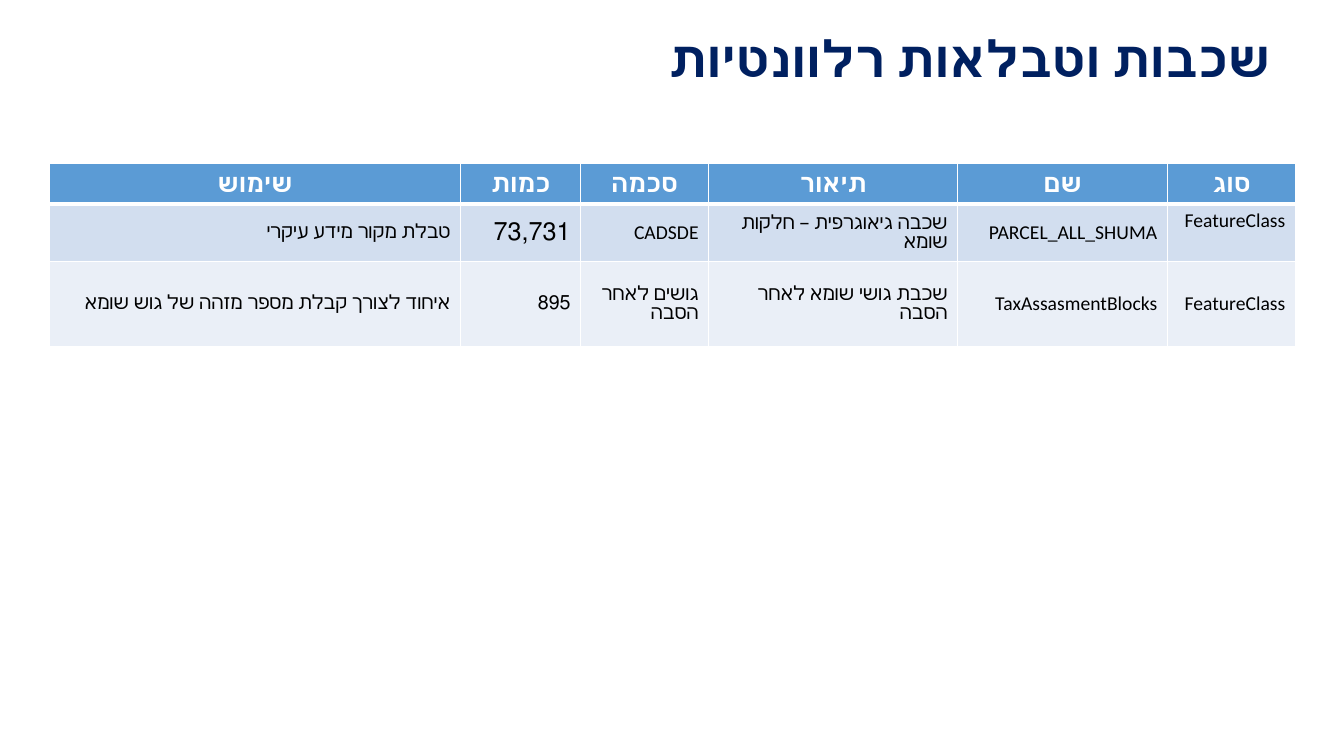
from lxml.etree import SubElement
from pptx import Presentation
from pptx.dml.color import RGBColor
from pptx.enum.text import MSO_ANCHOR as ANCHOR, PP_ALIGN as ALIGN
from pptx.oxml.ns import qn
from pptx.util import Inches, Pt

COLORS = {"title": "002060", "header": "5B9BD5", "odd": "D2DEEF",
          "even": "EAEFF7", "line": "FFFFFF", "text": "000000"}


def format_text(paragraph, size, color, bold, align, rtl):
    paragraph.alignment = align
    if rtl:
        paragraph._p.get_or_add_pPr().set("rtl", "1")
    for run in paragraph.runs:
        run.font.name = "Calibri"
        run.font.size = Pt(size)
        run.font.bold = bold
        run.font.color.rgb = RGBColor.from_string(color)
        if bold:
            SubElement(run._r.rPr, qn("a:cs"), typeface="Calibri")


def fill_cell(cell, color, bottom_width):
    # Borders come before the fill in the cell properties
    properties = cell._tc.get_or_add_tcPr()
    for side in ("lnL", "lnR", "lnT", "lnB"):
        width = bottom_width if side == "lnB" else 1
        line = SubElement(properties, qn(f"a:{side}"), w=str(Pt(width)))
        solid = SubElement(line, qn("a:solidFill"))
        SubElement(solid, qn("a:srgbClr"), val=COLORS["line"])
    cell.fill.solid()
    cell.fill.fore_color.rgb = RGBColor.from_string(color)


presentation = Presentation()
presentation.slide_width = Inches(13.33)
presentation.slide_height = Inches(7.5)
slide = presentation.slides.add_slide(presentation.slide_layouts[5])

# Title
title = slide.shapes.title
title.left, title.top = Inches(0.62), Inches(0.27)
title.width, title.height = Inches(12.08), Inches(0.68)
title.text_frame.text = "שכבות וטבלאות רלוונטיות"
title.text_frame.vertical_anchor = ANCHOR.MIDDLE
heading = title.text_frame.paragraphs[0]
heading.line_spacing = 0.9
format_text(heading, 36, COLORS["title"], True, ALIGN.RIGHT, True)

# Table of layers
layers = [
    ["שימוש", "כמות", "סכמה", "תיאור", "שם", "סוג"],
    ["טבלת מקור מידע עיקרי", "73,731", "CADSDE",
     "שכבה גיאוגרפית – חלקות שומא", "PARCEL_ALL_SHUMA", "FeatureClass"],
    ["איחוד לצורך קבלת מספר מזהה של גוש שומא", "895", "גושים לאחר הסבה",
     "שכבת גושי שומא לאחר הסבה", "TaxAssasmentBlocks", "FeatureClass"],
]
column_widths = [4.08, 1.19, 1.27, 2.47, 2.08, 1.27]
row_heights = [0.39, 0.57, 0.84]
row_fills = [COLORS["header"], COLORS["odd"], COLORS["even"]]

table = slide.shapes.add_table(
    len(layers), len(column_widths), Inches(0.49), Inches(1.62),
    Inches(sum(column_widths)), Inches(sum(row_heights))).table
for column, width in zip(table.columns, column_widths):
    column.width = Inches(width)
for row, height in zip(table.rows, row_heights):
    row.height = Inches(height)

for r, values in enumerate(layers):
    is_header = r == 0
    for c, value in enumerate(values):
        cell = table.cell(r, c)
        fill_cell(cell, row_fills[r], 3 if is_header else 1)
        cell.text_frame.text = value
        entry = cell.text_frame.paragraphs[0]
        if is_header:
            format_text(entry, 18, COLORS["line"], True, ALIGN.CENTER, False)
        else:
            cell.vertical_anchor = ANCHOR.MIDDLE
            size = 18 if value == "73,731" else 14
            format_text(entry, size, COLORS["text"], False, ALIGN.RIGHT,
                        value != "FeatureClass")

# The first layer's type sits at the top of its cell
table.cell(1, 5).vertical_anchor = ANCHOR.TOP

presentation.save("out.pptx")
